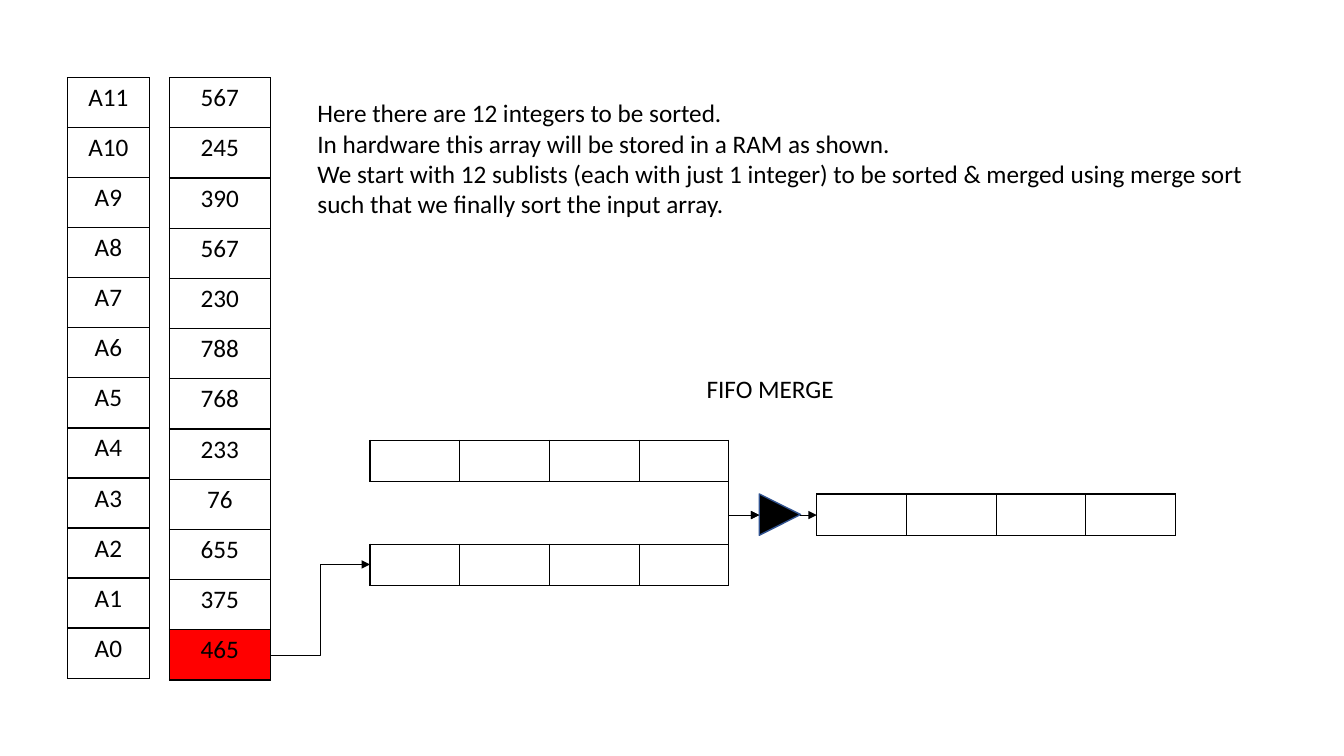
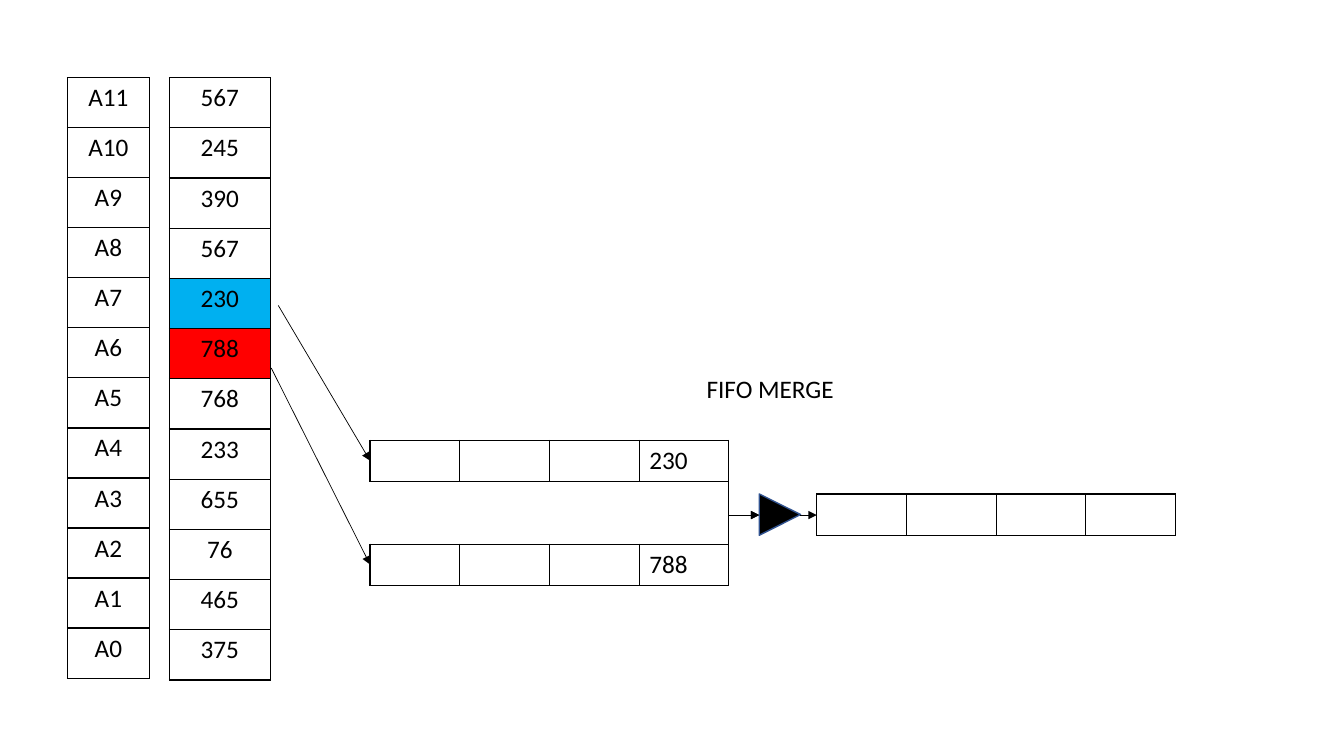
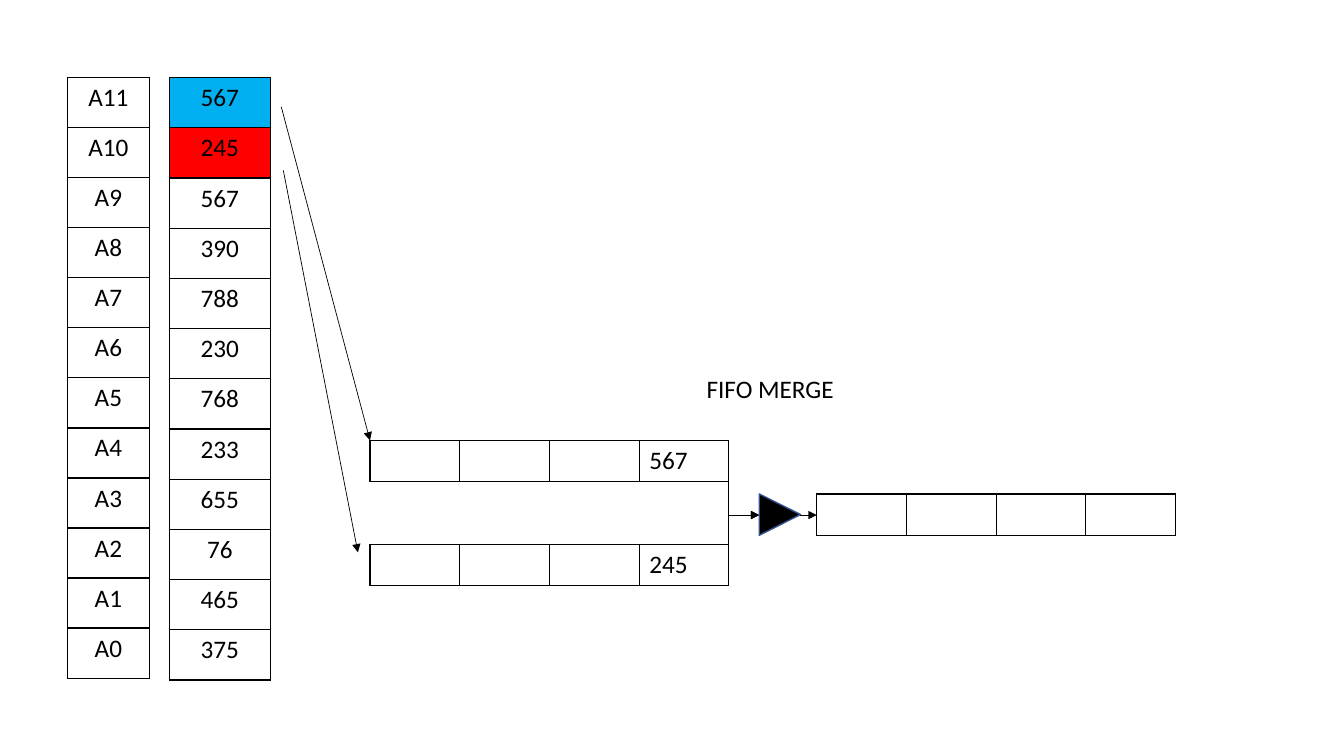
"""Build three slides that show a merge sort in a RAM feeding a FIFO merge unit."""
from lxml.etree import SubElement
from pptx import Presentation
from pptx.dml.color import RGBColor
from pptx.enum.shapes import MSO_CONNECTOR, MSO_SHAPE
from pptx.enum.text import PP_ALIGN
from pptx.oxml import parse_xml
from pptx.oxml.ns import nsdecls, qn
from pptx.util import Inches, Pt

COLORS = {"ink": "000000", "red": "FF0000", "blue": "00B0F0", "outline": "325491"}
FONT = {"name": "Calibri", "size": Pt(18), "bold": False}
PLAIN_TABLE = {"first_row": False, "horz_banding": False}

ADDRESSES = [f"A{index}" for index in range(11, -1, -1)]
COLUMN_TOP = 0.77
QUEUE_SIZE = (3.56, 0.41)
QUEUE_SLOTS = 4
INPUT_LEFT, INPUT_TOPS = 3.67, (4.37, 5.4)
OUTPUT_LEFT, OUTPUT_TOP = 8.1, 4.9
INPUT_RIGHT, MERGE_LEFT, MERGE_RIGHT, MERGE_MIDDLE = 7.22, 7.53, 7.93, 5.11
MERGE_SIZE = 0.41
UPPER_ENTRY, LOWER_ENTRY = (INPUT_LEFT, 4.57), (INPUT_LEFT, 5.6)

INTRO = [
    "Here there are 12 integers to be sorted.",
    "In hardware this array will be stored in a RAM as shown.",
    "We start with 12 sublists (each with just 1 integer) to be sorted & merged "
    "using merge sort such that we finally sort the input array.",
]

STEPS = [
    {
        "values": [567, 245, 390, 567, 230, 788, 768, 233, 76, 655, 375, 465],
        "marks": {11: "red"},
        "heads": ("", ""),
        "feeds": [(MSO_CONNECTOR.ELBOW, (2.69, 6.5), LOWER_ENTRY)],
        "intro": INTRO,
    },
    {
        "values": [567, 245, 390, 567, 230, 788, 768, 233, 655, 76, 465, 375],
        "marks": {4: "blue", 5: "red"},
        "heads": (230, 788),
        "feeds": [
            (MSO_CONNECTOR.STRAIGHT, (2.76, 3.03), UPPER_ENTRY),
            (MSO_CONNECTOR.STRAIGHT, (2.69, 3.65), LOWER_ENTRY),
        ],
    },
    {
        "values": [567, 245, 567, 390, 788, 230, 768, 233, 655, 76, 465, 375],
        "marks": {0: "blue", 1: "red"},
        "heads": (567, 245),
        "feeds": [
            (MSO_CONNECTOR.STRAIGHT, (2.81, 1.69), (3.55, 5.48)),
            (MSO_CONNECTOR.STRAIGHT, (2.79, 1.06), (INPUT_LEFT, 4.37)),
        ],
    },
]


def color(key):
    """Return the named colour."""
    return RGBColor.from_string(COLORS[key])


def apply(target, settings):
    """Set each attribute of a target from a dict."""
    for attribute, value in settings.items():
        setattr(target, attribute, value)


def write(paragraph, text, align=PP_ALIGN.LEFT):
    """Write text in the shared font."""
    paragraph.text = str(text)
    paragraph.alignment = align
    apply(paragraph.font, FONT)
    paragraph.font.color.rgb = color("ink")


def add_borders(cell):
    """Draw a thin line on all four sides of a cell."""
    properties = cell._tc.get_or_add_tcPr()
    for side in ("lnL", "lnR", "lnT", "lnB"):
        properties.append(parse_xml(
            f'<a:{side} {nsdecls("a")} w="{Pt(1)}"><a:solidFill>'
            f'<a:srgbClr val="{COLORS["ink"]}"/></a:solidFill></a:{side}>'))


def add_cells(slide, left, top, size, rows, align=PP_ALIGN.LEFT, marks=None):
    """Add a bordered table of equal cells, filling the marked rows."""
    width, height = size
    table = slide.shapes.add_table(
        len(rows), len(rows[0]), Inches(left), Inches(top), Inches(width), Inches(height)).table
    apply(table, PLAIN_TABLE)
    for row_index, row in enumerate(rows):
        for column_index, text in enumerate(row):
            cell = table.cell(row_index, column_index)
            write(cell.text_frame.paragraphs[0], text, align)
            add_borders(cell)
            if marks and row_index in marks:
                cell.fill.solid()
                cell.fill.fore_color.rgb = color(marks[row_index])
            else:
                cell.fill.background()


def add_memory_column(slide, left, size, entries, marks=None):
    """Add one column of the RAM."""
    add_cells(slide, left, COLUMN_TOP, size, [[entry] for entry in entries],
              PP_ALIGN.CENTER, marks)


def add_queue(slide, left, top, head=""):
    """Add a FIFO with its head in the last slot."""
    add_cells(slide, left, top, QUEUE_SIZE, [[""] * (QUEUE_SLOTS - 1) + [head]])


def add_arrow(slide, kind, start, end):
    """Add a thin connector with an arrowhead at its end."""
    arrow = slide.shapes.add_connector(kind, *map(Inches, (*start, *end)))
    arrow.line.width = Pt(0.5)
    arrow.line.color.rgb = color("ink")
    SubElement(arrow.line._get_or_add_ln(), qn("a:tailEnd"), type="triangle")
    SubElement(arrow._element.spPr, qn("a:effectLst"))
    return arrow


def add_merge_elbow(slide, start_y):
    """Lead an input queue vertically, then right into the merge unit."""
    drop = MERGE_MIDDLE - start_y
    center_x = (INPUT_RIGHT + MERGE_LEFT) / 2
    center_y = (start_y + MERGE_MIDDLE) / 2
    half_length = abs(drop) / 2
    half_span = (MERGE_LEFT - INPUT_RIGHT) / 2 * (1 if drop > 0 else -1)
    elbow = add_arrow(slide, MSO_CONNECTOR.ELBOW,
                      (center_x + half_length, center_y - half_span),
                      (center_x - half_length, center_y + half_span))
    properties = elbow._element.spPr
    properties.find(qn("a:prstGeom")).set("prst", "bentConnector2")
    properties.find(qn("a:xfrm")).set("rot", str((270 if drop > 0 else 90) * 60000))


def add_merge_unit(slide):
    """Add the black triangle that merges both queues."""
    unit = slide.shapes.add_shape(
        MSO_SHAPE.ISOSCELES_TRIANGLE, Inches(MERGE_LEFT), Inches(OUTPUT_TOP),
        Inches(MERGE_SIZE), Inches(MERGE_SIZE))
    unit.rotation = 90
    unit.shadow.inherit = False
    unit.fill.solid()
    unit.fill.fore_color.rgb = color("ink")
    unit.line.color.rgb = color("outline")
    unit.line.width = Pt(1)


def add_label(slide, left, top, width, height, lines):
    """Add a wrapped text box with one paragraph a line."""
    frame = slide.shapes.add_textbox(*map(Inches, (left, top, width, height))).text_frame
    frame.word_wrap = True
    for index, line in enumerate(lines):
        write(frame.add_paragraph() if index else frame.paragraphs[0], line)


def add_step(deck, step):
    """Add one slide of the sort."""
    slide = deck.slides.add_slide(deck.slide_layouts[6])
    add_memory_column(slide, 1.68, (1, 5.98), step["values"], step["marks"])
    add_memory_column(slide, 0.67, (0.81, 5.96), ADDRESSES)
    for top, head in zip(INPUT_TOPS, step["heads"]):
        add_queue(slide, INPUT_LEFT, top, head)
    add_queue(slide, OUTPUT_LEFT, OUTPUT_TOP)
    add_merge_unit(slide)
    for _, entry_y in (UPPER_ENTRY, LOWER_ENTRY):
        add_merge_elbow(slide, entry_y)
    add_arrow(slide, MSO_CONNECTOR.STRAIGHT,
              (MERGE_RIGHT, MERGE_MIDDLE), (OUTPUT_LEFT, MERGE_MIDDLE))
    for kind, start, end in step["feeds"]:
        add_arrow(slide, kind, start, end)
    add_label(slide, 6.91, 3.65, 5.34, 0.4, ["FIFO MERGE"])
    if "intro" in step:
        add_label(slide, 3.05, 0.92, 9.74, 1.92, step["intro"])


def main():
    """Build and save the deck."""
    deck = Presentation()
    deck.slide_width, deck.slide_height = Inches(13.33), Inches(7.5)
    for step in STEPS:
        add_step(deck, step)
    deck.save("out.pptx")


main()
